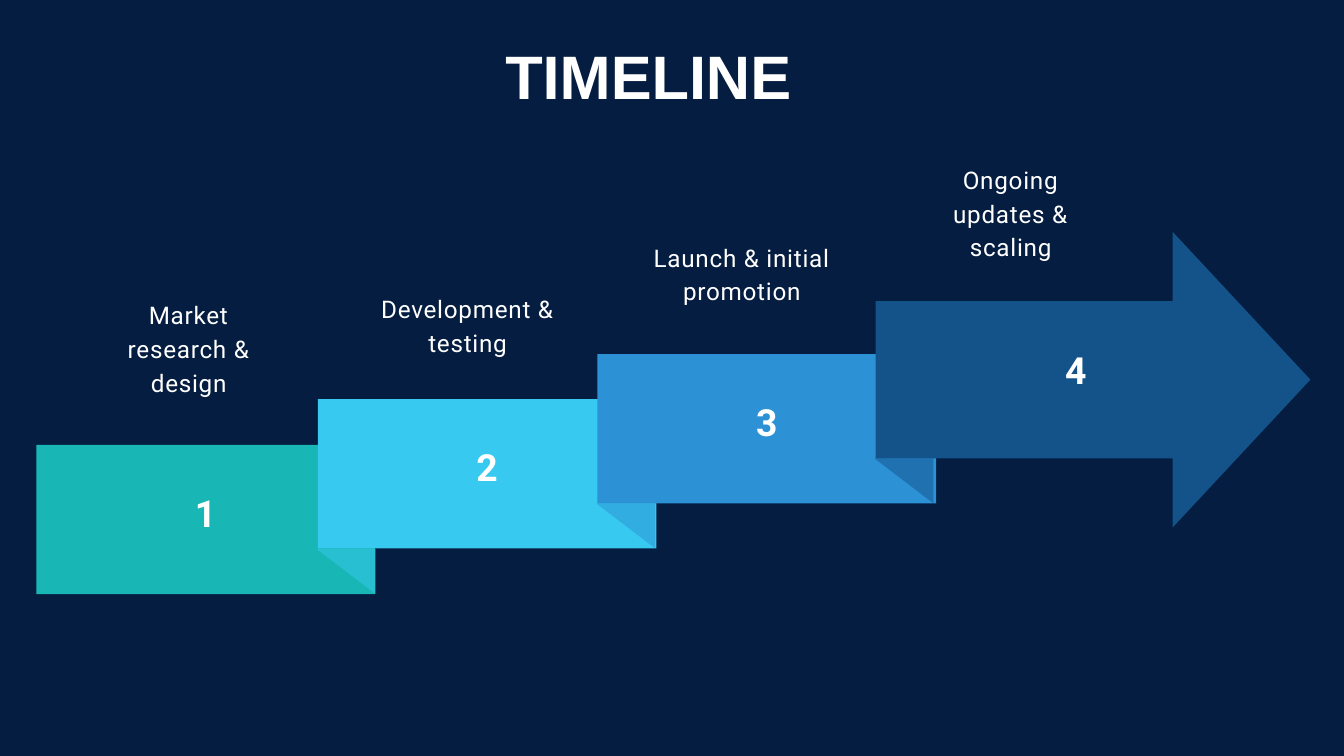
from dataclasses import dataclass

from lxml import etree
from pptx import Presentation
from pptx.dml.color import RGBColor
from pptx.enum.shapes import MSO_SHAPE as SHAPE
from pptx.enum.text import MSO_ANCHOR as ANCHOR, MSO_AUTO_SIZE as AUTO, PP_ALIGN as ALIGN
from pptx.oxml.ns import qn
from pptx.util import Inches, Pt


@dataclass(frozen=True)
class Theme:
    background: str = "051D40"
    text: str = "FFFFFF"
    steps: tuple = ("18B6B4", "37C9EF", "2C92D5", "13538A")
    title_font: str = "Arial"
    body_font: str = "Roboto"
    title_size: float = 65.7
    number_size: float = 40
    label_size: float = 26


theme = Theme()


def write(sp, text, font, size, leading, bold=False, spacing=0, inset=0, anchor=ANCHOR.TOP):
    """Put one centred run in a shape; leading and letter spacing are in points."""
    tf = sp.text_frame
    tf.word_wrap = True
    tf.auto_size = AUTO.NONE
    tf.vertical_anchor = anchor
    tf.margin_left = tf.margin_right = tf.margin_top = tf.margin_bottom = Inches(inset)
    p = tf.paragraphs[0]
    p.alignment = ALIGN.CENTER
    p.line_spacing = Pt(leading)
    p.space_before = Pt(0)
    r = p.add_run()
    r.text = text
    r.font.name = font
    r.font.size = Pt(size)
    r.font.bold = bold
    r.font.color.rgb = RGBColor.from_string(theme.text)
    if spacing:
        r.font._element.set("spc", str(round(spacing * 100)))


def paint(sp, color, opacity=100):
    """Give a shape a plain fill with no line or shadow."""
    sp.shadow.inherit = False
    sp.line.fill.background()
    sp.fill.solid()
    sp.fill.fore_color.rgb = RGBColor.from_string(color)
    if opacity < 100:
        clr = sp.fill._xPr.find(".//" + qn("a:srgbClr"))
        etree.SubElement(clr, qn("a:alpha"), val=str(opacity * 1000))


prs = Presentation()
prs.slide_width, prs.slide_height = Inches(20), Inches(11.25)
s = prs.slides.add_slide(prs.slide_layouts[5])
s.background.fill.solid()
s.background.fill.fore_color.rgb = RGBColor.from_string(theme.background)

title = s.shapes.title
title.left, title.top, title.width, title.height = map(Inches, (6.24, 0.57, 6.82, 1.1))
write(title, "TIMELINE", theme.title_font, theme.title_size, 78.8, bold=True)

# Step left and top, label left, top and height, label text
steps = [
    (0.54, 6.62, 1.46, 4.4, 1.47, "Market research & design"),
    (4.73, 5.94, 5.61, 4.3, 0.97, "Development & testing"),
    (8.89, 5.27, 9.69, 3.54, 0.97, "Launch & initial promotion"),
    (13.03, 4.48, 13.69, 2.38, 1.47, "Ongoing updates & scaling"),
]
ribbon_w, ribbon_h = 5.04, 2.22
fold_w, fold_h = 0.88, 0.67
arrow_w, arrow_h, head_w, shaft_h = 6.47, 4.4, 2.05, 2.34
label_w = 2.7

for i, (x, y, label_x, label_y, label_h, label) in enumerate(steps):
    color = theme.steps[i]
    if i < len(steps) - 1:
        step = s.shapes.add_shape(SHAPE.RECTANGLE, Inches(x), Inches(y),
                                  Inches(ribbon_w), Inches(ribbon_h))
        number_box = (x, y - 0.32, ribbon_w, ribbon_h + 0.32)
    else:
        step = s.shapes.add_shape(SHAPE.RIGHT_ARROW, Inches(x), Inches(y - (arrow_h - shaft_h) / 2),
                                  Inches(arrow_w), Inches(arrow_h))
        step.adjustments[0] = shaft_h / arrow_h
        step.adjustments[1] = head_w / arrow_h
        number_box = (x, y - 0.39, 5.96, 2.72)
    paint(step, color)

    # Each step folds back onto the lower right corner of the one before
    if i > 0:
        fold_x = x - 0.02
        fold_bottom = steps[i - 1][1] + ribbon_h
        fold_y = fold_bottom - fold_h
        outline = s.shapes.build_freeform(Inches(fold_x), Inches(fold_y))
        outline.add_line_segments([(Inches(fold_x + fold_w), Inches(fold_y)),
                                   (Inches(fold_x + fold_w), Inches(fold_bottom))])
        paint(outline.convert_to_shape(), color, opacity=50)

    number = s.shapes.add_textbox(*map(Inches, number_box))
    write(number, str(i + 1), theme.body_font, theme.number_size, 56,
          bold=True, spacing=2, inset=0.06, anchor=ANCHOR.MIDDLE)
    caption = s.shapes.add_textbox(*map(Inches, (label_x, label_y, label_w, label_h)))
    write(caption, label, theme.body_font, theme.label_size, 36.4, spacing=0.8)

prs.save("out.pptx")
